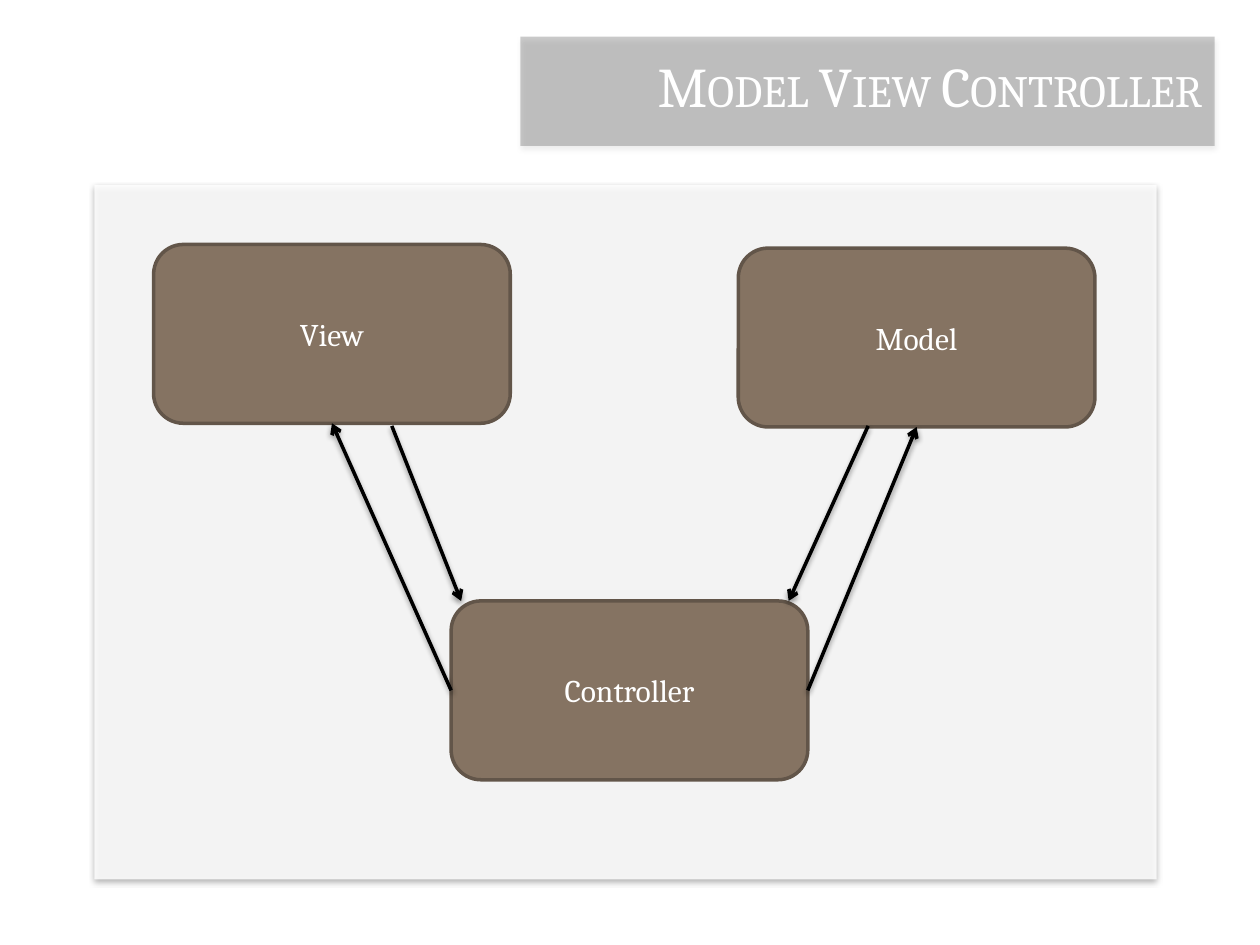
"""Build a slide showing how view, model and controller interact."""
import pptx
import pptx.util
import pptx.dml.color
import pptx.enum.shapes
import pptx.enum.text
import pptx.oxml.ns
from lxml import etree

Pt = pptx.util.Pt
RGB = pptx.dml.color.RGBColor
SHAPE = pptx.enum.shapes.MSO_SHAPE
ALIGN = pptx.enum.text.PP_ALIGN
ANCHOR = pptx.enum.text.MSO_ANCHOR
qn = pptx.oxml.ns.qn

WHITE = RGB(0xFF, 0xFF, 0xFF)
BLACK = RGB(0, 0, 0)
BROWN = RGB(0x85, 0x73, 0x62)
DARK_BROWN = RGB(0x62, 0x55, 0x49)
FONT = "Cambria"
TOP, LEFT, BOTTOM, RIGHT = range(4)

TITLE = "Model View Controller"
TITLE_BOX = (297.4, 26, 396.7, 46)
PANELS = [
    ((54, 105.8, 607, 396.7), WHITE, 85),
    ((297.4, 20.9, 396.7, 62.6), BLACK, 20),
]
BOX_SIZE = (203.8, 102.2)
BOXES = {
    "Controller": (257.8, 343.4),
    "Model": (421.9, 141.8),
    "View": (87.8, 139.7),
}
JOINED_ARROWS = [
    ("Controller", LEFT, "View", BOTTOM),
    ("Controller", RIGHT, "Model", BOTTOM),
]
FREE_ARROWS = [
    ((223.9, 243.4), (263.5, 343.4)),
    ((496.1, 243.4), (450.7, 343.4)),
]


def add_text(sp, text, size=18, align=ALIGN.CENTER, anchor=ANCHOR.MIDDLE, small_caps=False):
    tf = sp.text_frame
    tf.word_wrap = True
    tf.vertical_anchor = anchor
    p = tf.paragraphs[0]
    p.alignment = align
    r = p.add_run()
    r.text = text
    r.font.name = FONT
    r.font.size = Pt(size)
    r.font.color.rgb = WHITE
    if small_caps:
        r.font._element.set("cap", "small")


def add_shadow(sp, alpha, dist):
    props = sp._element.spPr
    effects = etree.SubElement(props, qn("a:effectLst"))
    shadow = etree.SubElement(effects, qn("a:outerShdw"), blurRad=str(Pt(3.1)),
                              dist=str(Pt(dist)), dir="5400000", rotWithShape="0")
    color = etree.SubElement(shadow, qn("a:srgbClr"), val=str(BLACK))
    etree.SubElement(color, qn("a:alpha"), val=str(alpha * 1000))


def add_panel(s, area, color, opacity):
    sp = s.shapes.add_shape(SHAPE.RECTANGLE, *map(Pt, area))
    sp.fill.solid()
    sp.fill.fore_color.rgb = color
    fill = sp._element.spPr.find(qn("a:solidFill"))
    etree.SubElement(fill[0], qn("a:alpha"), val=str(opacity * 1000))
    sp.line.fill.background()
    add_shadow(sp, 35, 1.8)


def add_box(s, name, corner):
    sp = s.shapes.add_shape(SHAPE.ROUNDED_RECTANGLE, *map(Pt, corner + BOX_SIZE))
    sp.shadow.inherit = False
    sp.fill.solid()
    sp.fill.fore_color.rgb = BROWN
    sp.line.color.rgb = DARK_BROWN
    sp.line.width = Pt(2)
    add_text(sp, name)
    return sp


def add_arrow(s, start=(0, 0), end=(0, 0)):
    line = s.shapes.add_connector(pptx.enum.shapes.MSO_CONNECTOR.STRAIGHT,
                                  *map(Pt, start + end))
    line.line.color.rgb = BLACK
    line.line.width = Pt(2)
    etree.SubElement(line.line._get_or_add_ln(), qn("a:tailEnd"), type="arrow")
    add_shadow(line, 38, 1.6)
    return line


def main():
    prs = pptx.Presentation()
    prs.slide_width, prs.slide_height = Pt(720), Pt(540)
    s = prs.slides.add_slide(prs.slide_layouts[6])
    for panel in PANELS:
        add_panel(s, *panel)
    title = s.shapes.add_textbox(*map(Pt, TITLE_BOX))
    add_text(title, TITLE, size=32, align=ALIGN.RIGHT, anchor=ANCHOR.TOP, small_caps=True)
    title.text_frame.auto_size = pptx.enum.text.MSO_AUTO_SIZE.SHAPE_TO_FIT_TEXT
    boxes = {name: add_box(s, name, corner) for name, corner in BOXES.items()}
    for source, source_side, target, target_side in JOINED_ARROWS:
        arrow = add_arrow(s)
        arrow.begin_connect(boxes[source], source_side)
        arrow.end_connect(boxes[target], target_side)
    for start, end in FREE_ARROWS:
        add_arrow(s, start, end)
    prs.save("out.pptx")


if __name__ == "__main__":
    main()
